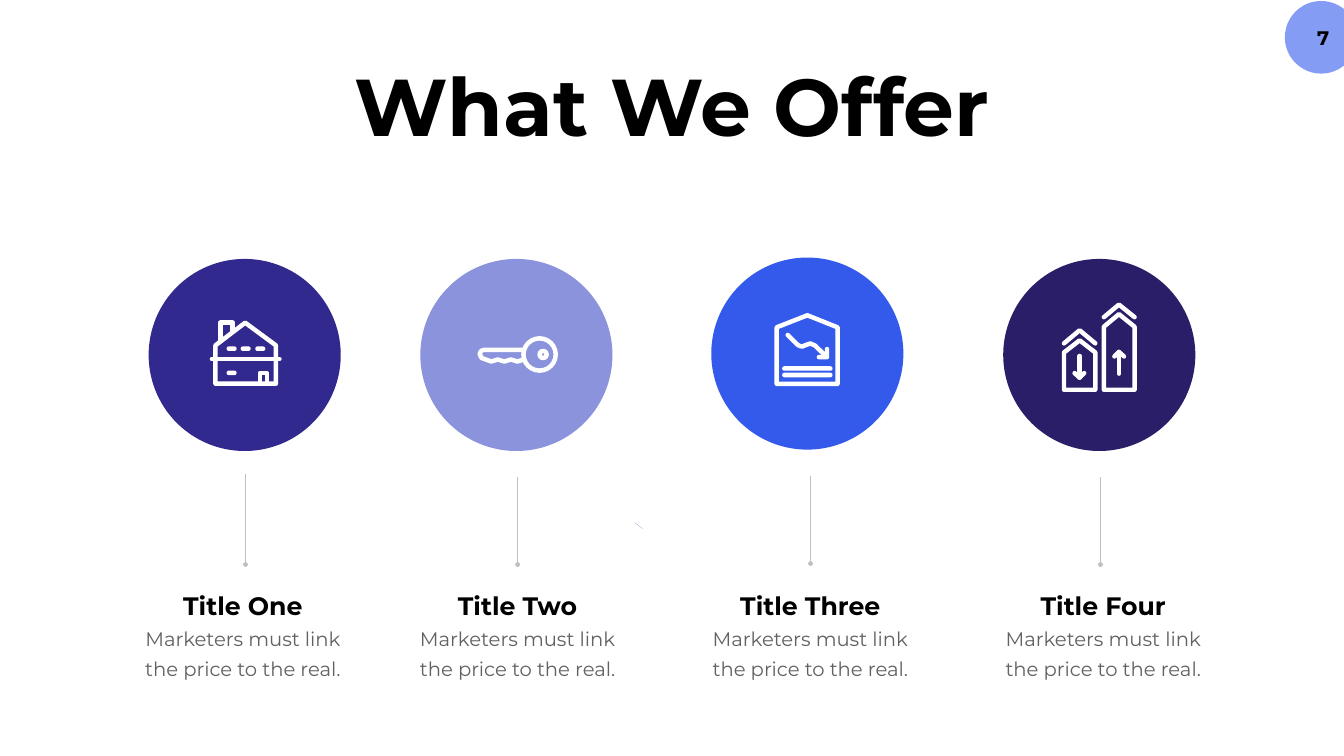
from dataclasses import dataclass

from lxml.etree import SubElement
from pptx import Presentation
from pptx.dml.color import RGBColor
from pptx.enum.shapes import MSO_CONNECTOR, MSO_SHAPE
from pptx.enum.text import MSO_ANCHOR, MSO_AUTO_SIZE, PP_ALIGN
from pptx.oxml.ns import qn
from pptx.util import Cm, Pt

FONT = "Montserrat"
BLACK = RGBColor(0x00, 0x00, 0x00)
WHITE = RGBColor(0xFF, 0xFF, 0xFF)
GREY_TEXT = RGBColor(0x60, 0x61, 0x60)
GREY_LINE = RGBColor(0xBF, 0xBF, 0xBF)
PERIWINKLE = RGBColor(0x85, 0x9C, 0xF4)
INDIGO = RGBColor(0x31, 0x29, 0x8E)
LAVENDER = RGBColor(0x8A, 0x93, 0xDB)
BLUE = RGBColor(0x34, 0x5A, 0xEC)
NAVY = RGBColor(0x29, 0x1E, 0x67)

DISC_SIZE = 9.68
TEXT_WIDTH = 10.69
ICON_UNIT = 0.0254  # cm per icon grid step
ICON_STROKE = Pt(6.4)
BAR_HEIGHT = 9  # icon grid steps
DESCRIPTION = "Marketers must link the price to the real."

Point = tuple[int, int]


@dataclass(frozen=True)
class Stroke:
    """Lines drawn as one outline; a line that returns to its start is closed."""
    lines: list[list[Point]]


@dataclass(frozen=True)
class Ring:
    center: Point
    radius: int


@dataclass(frozen=True)
class Bar:
    left: int
    top: int
    width: int


@dataclass(frozen=True)
class Offer:
    heading: str
    color: RGBColor
    disc_x: float
    disc_y: float
    stem_x: float
    stem_top: float
    stem_bottom: float
    text_x: float
    text_top: float
    icon: list[Stroke | Ring | Bar]


# Icon points are grid steps from the centre of the disc.
HOUSE = [
    Stroke([
        [(-58, 57), (-58, -19), (1, -64), (62, -19), (62, 57), (-58, 57)],
        [(-65, 8), (69, 8)],
        [(-48, -29), (-48, -64), (-24, -64), (-24, -46)],
        [(30, 57), (30, 36), (44, 36), (44, 57)],
    ]),
    Bar(-36, 31, 20),
    *[Bar(left, -17, 20) for left in (-36, -8, 21)],
]
KEY = [
    Ring((46, -1), 32),
    Ring((53, -1), 7),
    Stroke([[(15, -10), (-65, -10), (-70, -8), (-73, -2), (-69, 6), (-50, 13),
             (-37, 9), (-24, 13), (-11, 9), (2, 13), (15, 9)]]),
]
PRICE_CHART = [
    Stroke([[(-61, 60), (-61, -52), (0, -76), (60, -52), (60, 60), (-61, 60)]]),
    Stroke([[(-39, -37), (-20, -18), (-15, -15), (-10, -14), (-3, -17), (6, -20),
             (15, -16), (39, 7), (23, 7), (39, 7), (39, -9)]]),
    *[Bar(-50, top, 100) for top in (25, 38)],
]
TOWERS = [
    Stroke([[(9, 69), (9, -56), (39, -81), (70, -56), (70, 69), (9, 69)]]),
    Stroke([[(9, -75), (39, -100), (70, -75)]]),
    Stroke([[(-70, 69), (-70, -5), (-39, -29), (-8, -5), (-8, 69), (-70, 69)]]),
    Stroke([[(-70, -23), (-39, -49), (-8, -23)]]),
    Stroke([[(-39, 2), (-39, 45)], [(-49, 36), (-39, 45), (-30, 36)]]),
    Stroke([[(39, 37), (39, -6)], [(30, 3), (39, -6), (49, 3)]]),
]

OFFERS = [
    Offer("Title One", INDIGO, 12.33, 17.89, 12.37, 23.88, 28.45, 12.24, 29.62, HOUSE),
    Offer("Title Two", LAVENDER, 26.02, 17.89, 26.08, 24.05, 28.45, 26.08, 29.62, KEY),
    Offer("Title Three", BLUE, 40.68, 17.82, 40.84, 24.0, 28.4, 40.83, 29.64, PRICE_CHART),
    Offer("Title Four", NAVY, 55.39, 17.89, 55.45, 24.05, 28.45, 55.59, 29.64, TOWERS),
]


def write_text(shape, text: str, *, size: float, color: RGBColor = BLACK, bold: bool = False,
               align=PP_ALIGN.CENTER, line_spacing=None) -> None:
    frame = shape.text_frame
    frame.word_wrap = True
    frame.auto_size = MSO_AUTO_SIZE.NONE
    frame.vertical_anchor = MSO_ANCHOR.TOP
    paragraph = frame.paragraphs[0]
    paragraph.alignment = align
    if line_spacing is not None:
        paragraph.line_spacing = line_spacing
    run = paragraph.add_run()
    run.text = text
    run.font.name = FONT
    run.font.size = Pt(size)
    run.font.bold = bold
    run.font.color.rgb = color


def add_text(slide, text: str, left: float, top: float, width: float, height: float, **text_format):
    box = slide.shapes.add_textbox(Cm(left), Cm(top), Cm(width), Cm(height))
    write_text(box, text, **text_format)
    return box


def add_preset(slide, preset, left: float, top: float, width: float, height: float):
    shape = slide.shapes.add_shape(preset, Cm(left), Cm(top), Cm(width), Cm(height))
    shape.shadow.inherit = False
    return shape


def add_circle(slide, x: float, y: float, radius: float):
    return add_preset(slide, MSO_SHAPE.OVAL, x - radius, y - radius, 2 * radius, 2 * radius)


def fill_plain(shape, color: RGBColor) -> None:
    shape.fill.solid()
    shape.fill.fore_color.rgb = color
    shape.line.fill.background()


def add_freeform(slide, lines: list[list[Point]], x: float, y: float):
    builder = slide.shapes.build_freeform(*lines[0][0], scale=Cm(ICON_UNIT))
    for number, line in enumerate(lines):
        if number:
            builder.move_to(*line[0])
        builder.add_line_segments(line[1:], close=line[0] == line[-1])
    freeform = builder.convert_to_shape(Cm(x), Cm(y))
    freeform.shadow.inherit = False
    return freeform


def add_stem(slide, x: float, top: float, bottom: float) -> None:
    stem = slide.shapes.add_connector(MSO_CONNECTOR.STRAIGHT, Cm(x), Cm(top), Cm(x), Cm(bottom))
    stem.line.color.rgb = GREY_LINE
    stem.line.width = Pt(2.25)
    SubElement(stem.line._get_or_add_ln(), qn("a:tailEnd"), type="oval")
    SubElement(stem._element.spPr, qn("a:effectLst"))


def add_icon_part(slide, part: Stroke | Ring | Bar, x: float, y: float) -> None:
    if isinstance(part, Bar):
        bar = add_preset(slide, MSO_SHAPE.ROUNDED_RECTANGLE, x + part.left * ICON_UNIT,
                         y + part.top * ICON_UNIT, part.width * ICON_UNIT, BAR_HEIGHT * ICON_UNIT)
        bar.adjustments[0] = 0.5
        fill_plain(bar, WHITE)
        return
    if isinstance(part, Ring):
        dx, dy = part.center
        outline = add_circle(slide, x + dx * ICON_UNIT, y + dy * ICON_UNIT, part.radius * ICON_UNIT)
    else:
        outline = add_freeform(slide, part.lines, x, y)
    outline.fill.background()
    outline.line.color.rgb = WHITE
    outline.line.width = ICON_STROKE
    ln = outline.line._get_or_add_ln()
    ln.set("cap", "rnd")
    SubElement(ln, qn("a:round"))


def add_offer(slide, offer: Offer) -> None:
    add_stem(slide, offer.stem_x, offer.stem_top, offer.stem_bottom)
    fill_plain(add_circle(slide, offer.disc_x, offer.disc_y, DISC_SIZE / 2), offer.color)
    for part in offer.icon:
        add_icon_part(slide, part, offer.disc_x, offer.disc_y)
    left = offer.text_x - TEXT_WIDTH / 2
    add_text(slide, offer.heading, left, offer.text_top, TEXT_WIDTH, 1.8, size=36, bold=True)
    add_text(slide, DESCRIPTION, left, offer.text_top + 1.5, TEXT_WIDTH, 3.18, size=28,
             color=GREY_TEXT, line_spacing=Pt(43))


def main() -> None:
    deck = Presentation()
    deck.slide_width, deck.slide_height = Cm(67.72), Cm(38.1)
    slide = deck.slides.add_slide(deck.slide_layouts[5])
    title = slide.shapes.title
    title.left, title.top, title.width, title.height = map(Cm, (16.38, 2.69, 34.95, 5.18))
    write_text(title, "What We Offer", size=115, bold=True)

    fill_plain(add_circle(slide, 66.57, 1.88, 1.83), PERIWINKLE)
    page_number = add_text(slide, "7", 64.52, 1.04, 3.5, 1.7, size=28, bold=True,
                           align=PP_ALIGN.RIGHT)
    page_number.text_frame.margin_top = Cm(0.25)
    page_number.text_frame.margin_right = Cm(1.04)

    for offer in OFFERS:
        add_offer(slide, offer)
    fill_plain(add_freeform(slide, [[(0, 0), (16, 12), (0, 0)]], 31.98, 26.34), INDIGO)
    deck.save("out.pptx")


if __name__ == "__main__":
    main()
